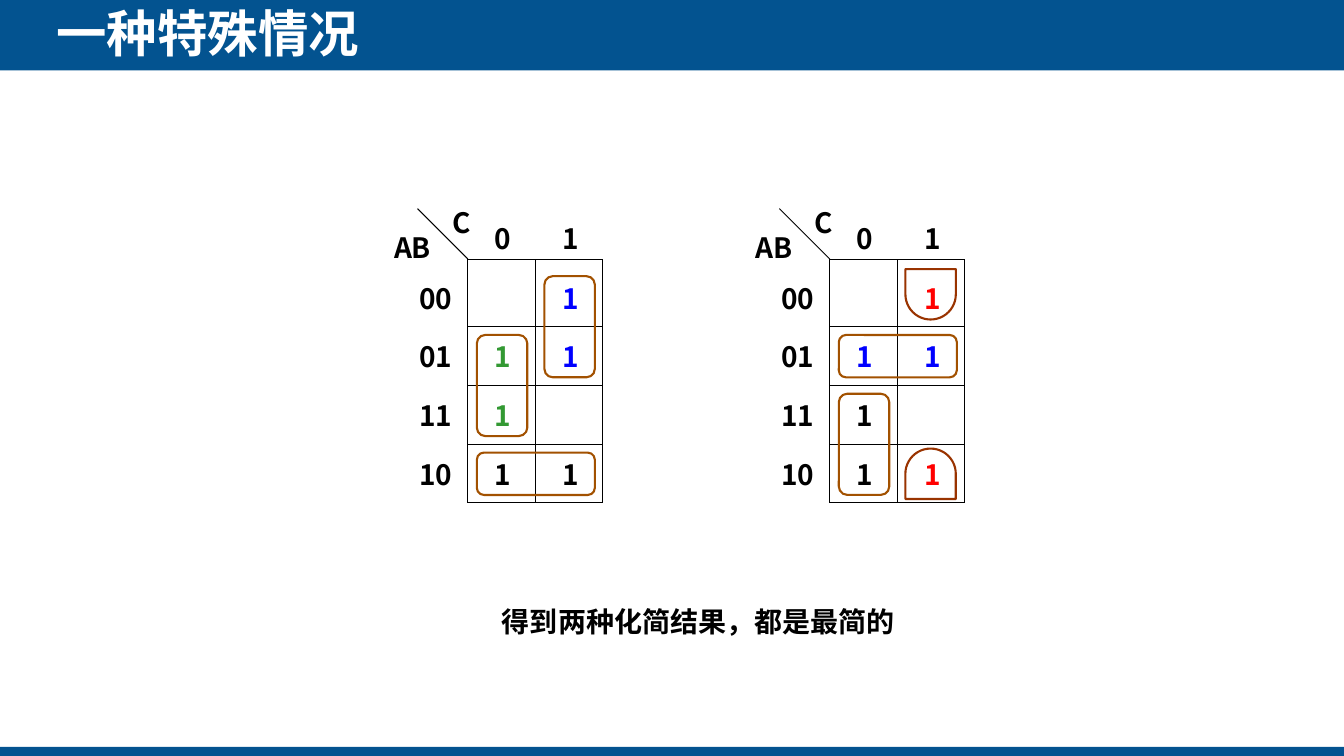
from lxml import etree
from pptx import Presentation
from pptx import util as u
from pptx.dml.color import RGBColor
from pptx.enum import shapes, text
from pptx.oxml.ns import qn

FONT = "Noto Sans CJK SC"
COLORS = {
    "band": "035390", "white": "FFFFFF", "black": "000000", "blue": "0000FF",
    "green": "339933", "red": "FF0000", "loop": "A25100", "wrap": "993300",
}
COLUMN = 0.67
FIRST_ROW = 0.67
ROW = 1.75 / 3
HEIGHT = FIRST_ROW + 3 * ROW
TEXT_HEIGHT = 0.44
ROW_CODES = ["00", "01", "11", "10"]


def color(name):
    return RGBColor.from_string(COLORS[name])


def box(left, top, width, height):
    return [u.Inches(value) for value in (left, top, width, height)]


def write(holder, words, size, color_name):
    paragraph = holder.text_frame.paragraphs[0]
    paragraph.text = words
    paragraph.alignment = text.PP_ALIGN.LEFT
    font = paragraph.font
    font.name, font.size, font.bold = FONT, u.Pt(size), True
    font.color.rgb = color(color_name)
    for properties in holder.element.iter(qn("a:defRPr")):
        etree.SubElement(properties, qn("a:ea"), typeface=FONT)


def add_label(parent, words, left, top, width, color_name="black"):
    label = parent.shapes.add_textbox(*box(left, top, width, TEXT_HEIGHT))
    label.text_frame.word_wrap = False
    label.text_frame.auto_size = text.MSO_AUTO_SIZE.SHAPE_TO_FIT_TEXT
    write(label, words, 20, color_name)


def add_line(parent, x1, y1, x2, y2):
    line = parent.shapes.add_connector(
        shapes.MSO_CONNECTOR.STRAIGHT, *box(x1, y1, x2, y2))
    line.line.color.rgb = color("black")
    line.line.width = u.Pt(0.75)
    etree.SubElement(line.element.spPr, qn("a:effectLst"))


def add_outline(parent, kind, color_name, left, top, width, height):
    outline = parent.shapes.add_shape(kind, *box(left, top, width, height))
    outline.shadow.inherit = False
    outline.fill.background()
    outline.line.color.rgb = color(color_name)
    outline.line.width = u.Pt(1.5)
    return outline


def text_top(top, row):
    return top + 0.17 + row * ROW


def add_map(slide, left, top, ones):
    """Draw a three-variable Karnaugh map; ones maps (row, column) to a colour."""
    group = slide.shapes.add_group_shape()
    right, bottom = left + 2 * COLUMN, top + HEIGHT
    add_line(group, left - 0.5, top - 0.5, left, top)
    for y in [top] + [top + FIRST_ROW + row * ROW for row in range(4)]:
        add_line(group, left, y, right, y)
    for column in range(3):
        x = left + column * COLUMN
        add_line(group, x, top, x, bottom)

    add_label(group, "AB", left - 0.83, top - 0.33, 0.6)
    add_label(group, "C", left - 0.25, top - 0.58, 0.4)
    for row, code in enumerate(ROW_CODES):
        add_label(group, code, left - 0.58, text_top(top, row), 0.55)
    for column in range(2):
        add_label(group, str(column), left + 0.17 + column * COLUMN, top - 0.42, 0.38)
    for (row, column), color_name in ones.items():
        add_label(group, "1", left + 0.17 + column * COLUMN,
                  text_top(top, row), 0.38, color_name)


def add_loops(slide, left, top, loops):
    """Circle groups of cells, each given as row, column, row span, column span."""
    for row, column, rows, columns in loops:
        add_outline(slide, shapes.MSO_SHAPE.ROUNDED_RECTANGLE, "loop",
                    left + 0.09 + column * COLUMN, text_top(top, row),
                    0.5 + (columns - 1) * COLUMN, 0.42 + (rows - 1) * ROW)


def add_wrapped_loop(slide, left, top):
    """Join the top and bottom cells of the second column with two half loops."""
    group = slide.shapes.add_group_shape()
    for offset, rotation in [(0.1, 90), (1.88, 270)]:
        half = add_outline(group, shapes.MSO_SHAPE.FLOWCHART_DELAY, "wrap",
                           left + 0.08 + COLUMN, top + offset, 0.5, 0.5)
        half.rotation = rotation


def add_header(slide, words):
    title = slide.shapes.title
    for top, height in [(-0.03, 0.73), (7.41, 0.1)]:
        band = slide.shapes.add_shape(
            shapes.MSO_SHAPE.RECTANGLE, *box(0, top, 13.33, height))
        band.shadow.inherit = False
        band.fill.solid()
        band.fill.fore_color.rgb = color("band")
        band.line.fill.background()
        title.element.addprevious(band.element)
    title.left, title.top, title.width, title.height = box(0.56, 0.02, 8.57, 0.61)
    frame = title.text_frame
    frame.margin_left = frame.margin_right = frame.margin_top = frame.margin_bottom = 0
    frame.vertical_anchor = text.MSO_ANCHOR.MIDDLE
    frame.auto_size = text.MSO_AUTO_SIZE.NONE
    write(title, words, 36, "white")


def main():
    deck = Presentation()
    deck.slide_width, deck.slide_height = u.Inches(13.33), u.Inches(7.5)
    slide = deck.slides.add_slide(deck.slide_layouts[5])
    add_header(slide, "一种特殊情况")

    top, first, second = 2.57, 4.64, 8.23
    add_map(slide, first, top, {
        (1, 0): "green", (2, 0): "green", (3, 0): "black",
        (0, 1): "blue", (1, 1): "blue", (3, 1): "black"})
    add_map(slide, second, top, {
        (1, 0): "blue", (2, 0): "black", (3, 0): "black",
        (0, 1): "red", (1, 1): "blue", (3, 1): "red"})
    add_loops(slide, first, top, [(1, 0, 2, 1), (0, 1, 2, 1), (3, 0, 1, 2)])
    add_loops(slide, second, top, [(1, 0, 1, 2), (2, 0, 2, 1)])
    add_wrapped_loop(slide, second, top)

    add_label(slide, "得到两种化简结果，都是最简的", 4.88, 5.95, 4.15)
    deck.save("out.pptx")


if __name__ == "__main__":
    main()
